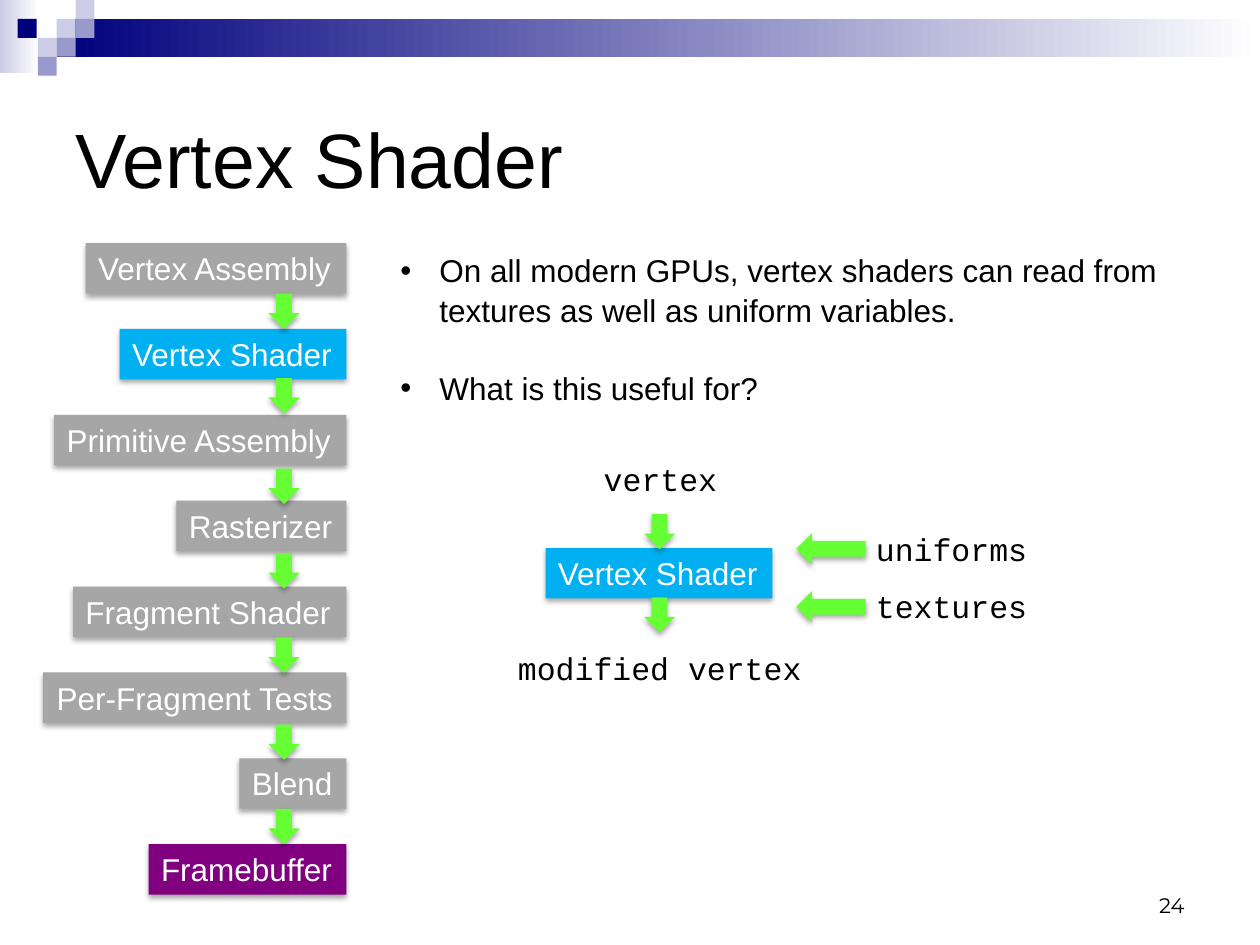
from dataclasses import dataclass

from lxml import etree
from pptx import Presentation
from pptx import util as u
from pptx.dml.color import RGBColor
from pptx.enum import shapes, text
from pptx.oxml import ns

BLACK = RGBColor(0, 0, 0)
WHITE = RGBColor(255, 255, 255)
NAVY = RGBColor(0x00, 0x00, 0x7D)
LILAC = RGBColor(0xCC, 0xCC, 0xE6)
PERIWINKLE = RGBColor(0x99, 0x99, 0xCC)
GRAY = RGBColor(0xA6, 0xA6, 0xA6)
BLUE = RGBColor(0x00, 0xB0, 0xF0)
PURPLE = RGBColor(0x80, 0x00, 0x80)
GREEN = RGBColor(0x66, 0xFF, 0x33)
RECT = shapes.MSO_SHAPE.RECTANGLE
DOWN = shapes.MSO_SHAPE.DOWN_ARROW
LEFT, CENTER, RIGHT = text.PP_ALIGN.LEFT, text.PP_ALIGN.CENTER, text.PP_ALIGN.RIGHT
TOP, MIDDLE, BOTTOM = text.MSO_ANCHOR.TOP, text.MSO_ANCHOR.MIDDLE, text.MSO_ANCHOR.BOTTOM
LABEL_HEIGHT = 0.4
ARROW_WIDTH = 0.25


@dataclass
class Area:
    left: float
    top: float
    width: float
    height: float

    def lengths(self) -> list:
        return [u.Inches(n) for n in (self.left, self.top, self.width, self.height)]


@dataclass
class Stage:
    name: str
    width: float
    color: RGBColor = GRAY
    align: int = LEFT


@dataclass
class Style:
    size: float = 18
    font: str = "Arial"
    color: RGBColor = BLACK
    align: int = LEFT
    anchor: int = TOP
    wrap: bool = False


STAGES = [
    Stage("Vertex Assembly", 2.07),
    Stage("Vertex Shader", 1.8, BLUE),
    Stage("Primitive Assembly", 2.32),
    Stage("Rasterizer", 1.35),
    Stage("Fragment Shader", 2.17),
    Stage("Per-Fragment Tests", 2.41, GRAY, CENTER),
    Stage("Blend", 0.85),
    Stage("Framebuffer", 1.57, PURPLE),
]
STAGE_RIGHT, STAGE_TOP, STAGE_LAST = 2.75, 1.93, 6.7
STAGE_ARROW_TOPS = (2.33, 3.0, 3.72, 4.39, 5.06, 5.75, 6.42)
TILES = [
    (0.45, 0.15, LILAC), (0.6, 0, LILAC), (0.6, 0.15, PERIWINKLE), (0.3, 0.3, LILAC),
    (0.14, 0.15, NAVY), (0.45, 0.3, PERIWINKLE), (0.3, 0.45, PERIWINKLE),
]
DATA_LABELS = [
    ("vertex", Area(4.68, 3.6, 1.11, LABEL_HEIGHT)),
    ("modified vertex", Area(4, 5.1, 2.46, LABEL_HEIGHT)),
    ("uniforms", Area(6.84, 4.16, 1.41, LABEL_HEIGHT)),
    ("textures", Area(6.84, 4.61, 1.41, LABEL_HEIGHT)),
]
POINTS = [
    "On all modern GPUs, vertex shaders can read from textures as well as uniform variables.",
    "What is this useful for?",
]


def add_block(page, kind: int, area: Area, color: RGBColor):
    block = page.shapes.add_shape(kind, *area.lengths())
    block.shadow.inherit = False
    block.fill.solid()
    block.fill.fore_color.rgb = color
    block.line.fill.background()
    return block


def add_fade(page, area: Area, color: RGBColor) -> None:
    fade = add_block(page, RECT, area, color)
    fade.fill.gradient()
    fade.fill.gradient_angle = 0
    for stop, shade, position in zip(fade.fill.gradient_stops, (color, WHITE), (0, 1)):
        stop.color.rgb = shade
        stop.position = position


def add_shadow(block) -> None:
    effects = block._element.spPr.find(ns.qn("a:effectLst"))
    shadow = etree.SubElement(
        effects, ns.qn("a:outerShdw"), blurRad=str(u.Pt(3.1)), dist=str(u.Pt(1.8)),
        dir="5400000", rotWithShape="0")
    shade = etree.SubElement(shadow, ns.qn("a:srgbClr"), val=str(BLACK))
    etree.SubElement(shade, ns.qn("a:alpha"), val="35000")


def add_span(para, words: str, style: Style) -> None:
    para.alignment = style.align
    span = para.add_run()
    span.text = words
    span.font.size = u.Pt(style.size)
    span.font.name = style.font
    span.font.color.rgb = style.color


def write(box, words: str, style: Style) -> None:
    frame = box.text_frame
    frame.word_wrap = style.wrap
    frame.vertical_anchor = style.anchor
    add_span(frame.paragraphs[0], words, style)


def add_text(page, words: str, area: Area, style: Style) -> None:
    write(page.shapes.add_textbox(*area.lengths()), words, style)


def add_stage(page, stage: Stage, left: float, top: float) -> None:
    box = add_block(page, RECT, Area(left, top, stage.width, LABEL_HEIGHT), stage.color)
    add_shadow(box)
    write(box, stage.name, Style(color=WHITE, align=stage.align))


def add_arrow(page, left: float, top: float, length: float = 0.28, turn: float = 0) -> None:
    arrow = add_block(page, DOWN, Area(left, top, ARROW_WIDTH, length), GREEN)
    arrow.rotation = turn
    add_shadow(arrow)


def add_points(page, points: list[str], area: Area) -> None:
    frame = page.shapes.add_textbox(*area.lengths()).text_frame
    frame.word_wrap = True
    for number, words in enumerate(points):
        para = frame.add_paragraph() if number else frame.paragraphs[0]
        props = para._p.get_or_add_pPr()
        props.set("marL", str(u.Inches(0.31)))
        props.set("indent", str(u.Inches(-0.31)))
        etree.SubElement(props, ns.qn("a:buFont"), typeface="Arial")
        etree.SubElement(props, ns.qn("a:buChar"), char="•")
        para.line_spacing = 1.05
        if number:
            para.space_before = u.Pt(21.7)
        add_span(para, words, Style())


def main() -> None:
    deck = Presentation()
    deck.slide_width, deck.slide_height = u.Inches(10), u.Inches(7.5)
    page = deck.slides.add_slide(deck.slide_layouts[6])

    add_fade(page, Area(0, 0, 0.31, 0.58), LILAC)
    add_fade(page, Area(0.45, 0.15, 9.55, 0.3), NAVY)
    for left, top, color in TILES:
        add_block(page, RECT, Area(left, top, 0.15, 0.15), color)
    add_text(page, "Vertex Shader", Area(0.5, 0.5, 9, 1.5),
             Style(size=44, anchor=MIDDLE, wrap=True))

    pitch = (STAGE_LAST - STAGE_TOP) / (len(STAGES) - 1)
    for row, stage in enumerate(STAGES):
        add_stage(page, stage, STAGE_RIGHT - stage.width, STAGE_TOP + row * pitch)
    for top in STAGE_ARROW_TOPS:
        add_arrow(page, 2.13, top)

    add_stage(page, STAGES[1], 4.33, 4.35)
    for top in (4.08, 4.74):
        add_arrow(page, 5.11, top)
    for top in (4.08, 4.54):
        add_arrow(page, 6.47, top, length=0.55, turn=90)
    for words, area in DATA_LABELS:
        add_text(page, words, area, Style(font="Courier New", align=RIGHT))

    add_points(page, POINTS, Area(3.08, 1.93, 6.5, 1.92))
    add_text(page, "24", Area(7.17, 6.83, 2.33, 0.5),
             Style(size=12, font="Montserrat", align=RIGHT, anchor=BOTTOM, wrap=True))
    deck.save("out.pptx")


if __name__ == "__main__":
    main()
